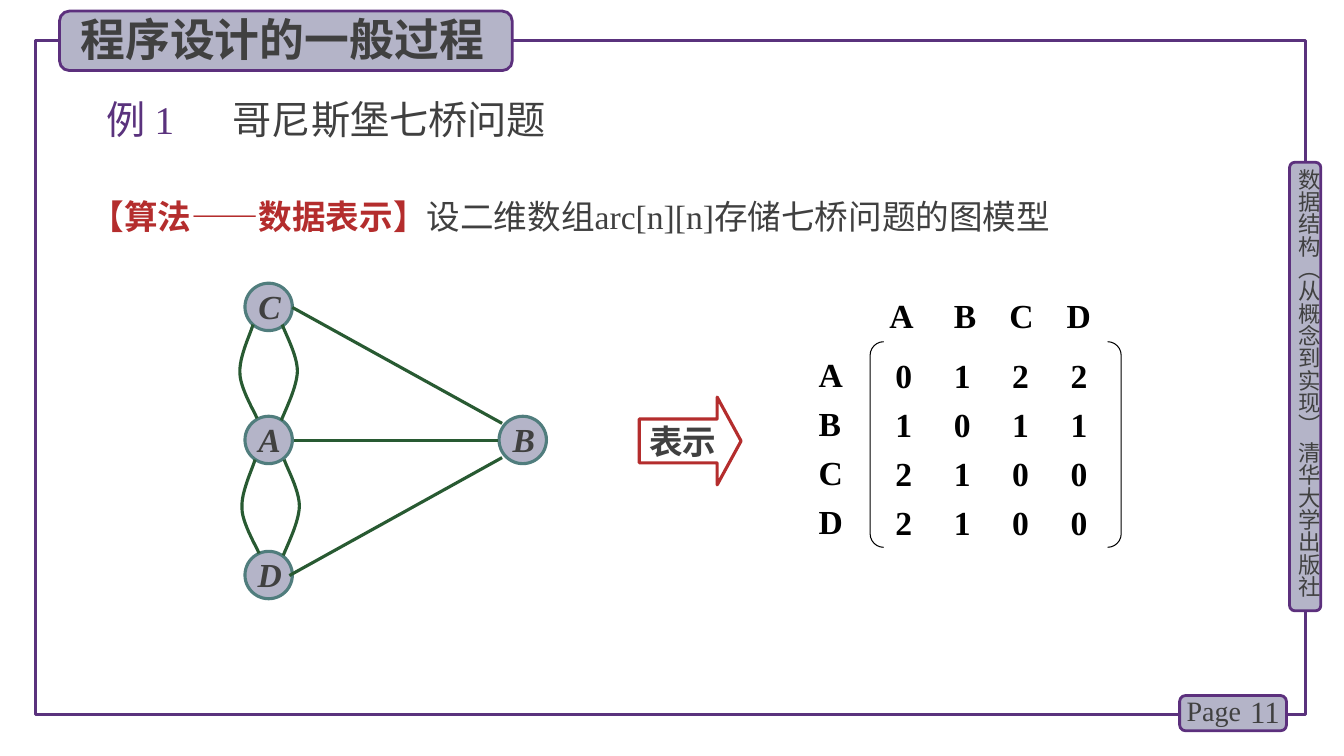
from lxml import etree
from pptx import Presentation
from pptx.dml.color import RGBColor
from pptx.enum.shapes import MSO_CONNECTOR, MSO_SHAPE
from pptx.enum.text import MSO_ANCHOR, PP_ALIGN
from pptx.oxml.ns import qn
from pptx.util import Inches, Pt

RECT, ROUND, OVAL = MSO_SHAPE.RECTANGLE, MSO_SHAPE.ROUNDED_RECTANGLE, MSO_SHAPE.OVAL
ARROW, BRACKETS = MSO_SHAPE.RIGHT_ARROW, MSO_SHAPE.DOUBLE_BRACKET
STRAIGHT = MSO_CONNECTOR.STRAIGHT
TOP, MIDDLE = MSO_ANCHOR.TOP, MSO_ANCHOR.MIDDLE
LEFT, CENTER, RIGHT = PP_ALIGN.LEFT, PP_ALIGN.CENTER, PP_ALIGN.RIGHT

SANS, SERIF = "Noto Sans CJK SC", "Times New Roman"
PURPLE, PLUM, LILAC = "5A327D", "5C307D", "B4B4C8"
GREY, RED, GREEN, TEAL, BLACK = "404040", "B42D2D", "285A32", "507D7D", "000000"

# Content: a span is (text, format)
SIDE_TEXT = [("数据结构（从概念到实现） 清华大学出版社", dict(size=16, name=SANS, color=GREY))]
PAGE_WORD = [("Page", dict(size=20, name=SERIF, color=GREY))]
PAGE_NUMBER = [("11", dict(size=22, name=SERIF, color=GREY))]
TITLE = [("程序设计的一般过程", dict(size=32, name=SANS, color=GREY, bold=True))]
EXAMPLE = [("例 1\t", dict(size=28, name=SERIF, color=PURPLE)),
           ("哥尼斯堡七桥问题", dict(size=28, name=SERIF, color=GREY))]
ALGORITHM = [("【算法——数据表示】", dict(size=24, name=SANS, color=RED, bold=True)),
             ("设二维数组arc[n][n]存储七桥问题的图模型", dict(size=24, name=SERIF, color=GREY))]
ARROW_TEXT = [("表示", dict(size=24, name=SERIF, color=GREY, bold=True))]
NODE_FORMAT = dict(size=24, name=SERIF, color=GREY, bold=True, italic=True)
MATRIX_FORMAT = dict(size=24, name=SERIF, color=BLACK, bold=True)

VERTICES = ["A", "B", "C", "D"]
MATRIX = [[0, 1, 2, 2], [1, 0, 1, 1], [2, 1, 0, 0], [2, 1, 0, 0]]
HEADER_TABS = [0.64, 1.19, 1.76]
MATRIX_STEP = 0.58

# Geometry in inches
BADGES = [(12.79, 1.61, 0.31, 4.45), (11.7, 6.9, 1.06, 0.35), (0.59, 0.11, 4.49, 0.59)]
NODE_SIZE = 0.47
NODES = {"C": (2.43, 2.81), "A": (2.43, 4.13), "D": (2.43, 5.47), "B": (4.95, 4.13)}
STRAIGHT_BRIDGES = [((2.9, 3.05), (4.98, 4.2)),
                    ((2.92, 4.37), (4.94, 4.37)),
                    ((2.87, 5.71), (4.98, 4.54))]
# Each curved bridge: start point, then two Bezier pieces
CURVED_BRIDGES = [
    [(2.51, 3.22), (2.49, 3.3), (2.37, 3.54), (2.38, 3.7), (2.38, 3.84), (2.51, 4.06), (2.55, 4.15)],
    [(2.8, 3.22), (2.82, 3.29), (2.95, 3.52), (2.95, 3.68), (2.95, 3.83), (2.83, 4.07), (2.79, 4.17)]]
CURVE_SHIFTS = [(0, 0), (0.02, 1.34)]
CURVE_STEPS = 12

deck = Presentation()
deck.slide_width, deck.slide_height = Inches(13.33), Inches(7.5)
page = deck.slides.add_slide(deck.slide_layouts[6])


def rgb(color):
    return RGBColor.from_string(color)


def style_line(item, color, width):
    item.line.color.rgb = rgb(color)
    item.line.width = Pt(width)


def write(box, paragraphs, align=LEFT, anchor=TOP, insets=(0.1, 0.05, 0.1, 0.05),
          spacing=None, tabs=()):
    frame = box.text_frame
    left, top, right, bottom = (Inches(value) for value in insets)
    settings = dict(word_wrap=True, vertical_anchor=anchor, margin_left=left,
                    margin_top=top, margin_right=right, margin_bottom=bottom)
    for key, value in settings.items():
        setattr(frame, key, value)
    for index, spans in enumerate(paragraphs):
        para = frame.add_paragraph() if index else frame.paragraphs[0]
        para.alignment = align
        if spacing:
            para.line_spacing = spacing
        if tabs:
            stops = etree.SubElement(para._p.get_or_add_pPr(), qn("a:tabLst"))
            for tab in tabs:
                etree.SubElement(stops, qn("a:tab"), pos=str(Inches(tab)), algn="l")
        for text, style in spans:
            span = para.add_run()
            span.text = text
            for key, value in style.items():
                if key == "color":
                    span.font.color.rgb = rgb(value)
                else:
                    setattr(span.font, key, Pt(value) if key == "size" else value)
            etree.SubElement(span.font._element, qn("a:ea"), typeface=SANS)


def add_text(place, paragraphs, **options):
    box = page.shapes.add_textbox(*map(Inches, place))
    write(box, paragraphs, **options)
    return box


def add_shape(kind, place, line, width, fill=None, adjustments=()):
    shape = page.shapes.add_shape(kind, *map(Inches, place))
    finish(shape, line, width, fill)
    for index, value in enumerate(adjustments):
        shape.adjustments[index] = value
    return shape


def finish(shape, line, width, fill=None):
    shape.shadow.inherit = False
    style_line(shape, line, width)
    if fill:
        shape.fill.solid()
        shape.fill.fore_color.rgb = rgb(fill)
    else:
        shape.fill.background()


def bezier(points, t):
    weights = [(1 - t) ** 3, 3 * t * (1 - t) ** 2, 3 * t * t * (1 - t), t ** 3]
    return tuple(sum(w * point[axis] for w, point in zip(weights, points)) for axis in (0, 1))


def add_curve(points, shift):
    moved = [(x + shift[0], y + shift[1]) for x, y in points]
    trail = [bezier(moved[first:first + 4], step / CURVE_STEPS)
             for first in range(0, len(moved) - 1, 3)
             for step in range(1, CURVE_STEPS + 1)]
    builder = page.shapes.build_freeform(*map(Inches, moved[0]))
    builder.add_line_segments([(Inches(x), Inches(y)) for x, y in trail], close=False)
    finish(builder.convert_to_shape(), GREEN, 2.25)


# Frame, badges and their texts
add_shape(RECT, (0.35, 0.4, 12.6, 6.69), PURPLE, 2.25)
for badge in BADGES:
    add_shape(ROUND, badge, PLUM, 2, LILAC)
side = add_text((12.85, 1.67, 0.27, 4.49), [SIDE_TEXT], insets=(0, 0, 0, 0))
side.text_frame._txBody.bodyPr.set("vert", "eaVert")
add_text((12.2, 6.86, 0.59, 0.4), [PAGE_NUMBER], align=RIGHT, anchor=MIDDLE)
add_text((11.67, 6.83, 0.78, 0.44), [PAGE_WORD])
add_text((0.7, 0.07, 4.44, 0.64), [TITLE])

# Headings
add_text((0.96, 0.95, 4.68, 0.64), [EXAMPLE], spacing=0.9, tabs=[1.25])
add_text((0.8, 1.81, 10.31, 0.59), [ALGORITHM], anchor=MIDDLE, spacing=Pt(35))

# Arrow from graph to matrix
arrow = add_shape(ARROW, (6.34, 3.94, 1.01, 0.87), RED, 2.25, adjustments=(0.5, 0.272))
write(arrow, [ARROW_TEXT], anchor=MIDDLE, insets=(0.1, 0, 0, 0))

# Adjacency matrix with its labels
matrix_rows = [[("\t".join(map(str, row)), MATRIX_FORMAT)] for row in MATRIX]
matrix_tabs = [MATRIX_STEP * column for column in range(1, len(VERTICES))]
row_labels = [[(vertex, MATRIX_FORMAT)] for vertex in VERTICES]
header = [("\t".join(VERTICES), MATRIX_FORMAT)]
flush = dict(insets=(0, 0, 0, 0))
add_text((8.88, 3.43, 2.06, 1.92), matrix_rows, spacing=Pt(35), tabs=matrix_tabs, **flush)
add_shape(BRACKETS, (8.63, 3.39, 2.49, 2.04), BLACK, 0.75, adjustments=(0.066,))
add_text((8.12, 3.42, 0.43, 1.97), row_labels, spacing=Pt(35), **flush)
add_text((8.82, 2.93, 2.45, 0.49), [header], tabs=HEADER_TABS, **flush)

# Graph: land areas, then bridges
for vertex, corner in NODES.items():
    node = add_shape(OVAL, (*corner, NODE_SIZE, NODE_SIZE), TEAL, 2.25, LILAC)
    write(node, [[(vertex, NODE_FORMAT)]], align=CENTER, insets=(0.02, 0, 0, 0), spacing=Pt(26))
for start, end in STRAIGHT_BRIDGES:
    bridge = page.shapes.add_connector(STRAIGHT, *map(Inches, start + end))
    style_line(bridge, GREEN, 2.25)
    etree.SubElement(bridge._element.spPr, qn("a:effectLst"))
for shift in CURVE_SHIFTS:
    for curve in CURVED_BRIDGES:
        add_curve(curve, shift)

deck.save("out.pptx")
